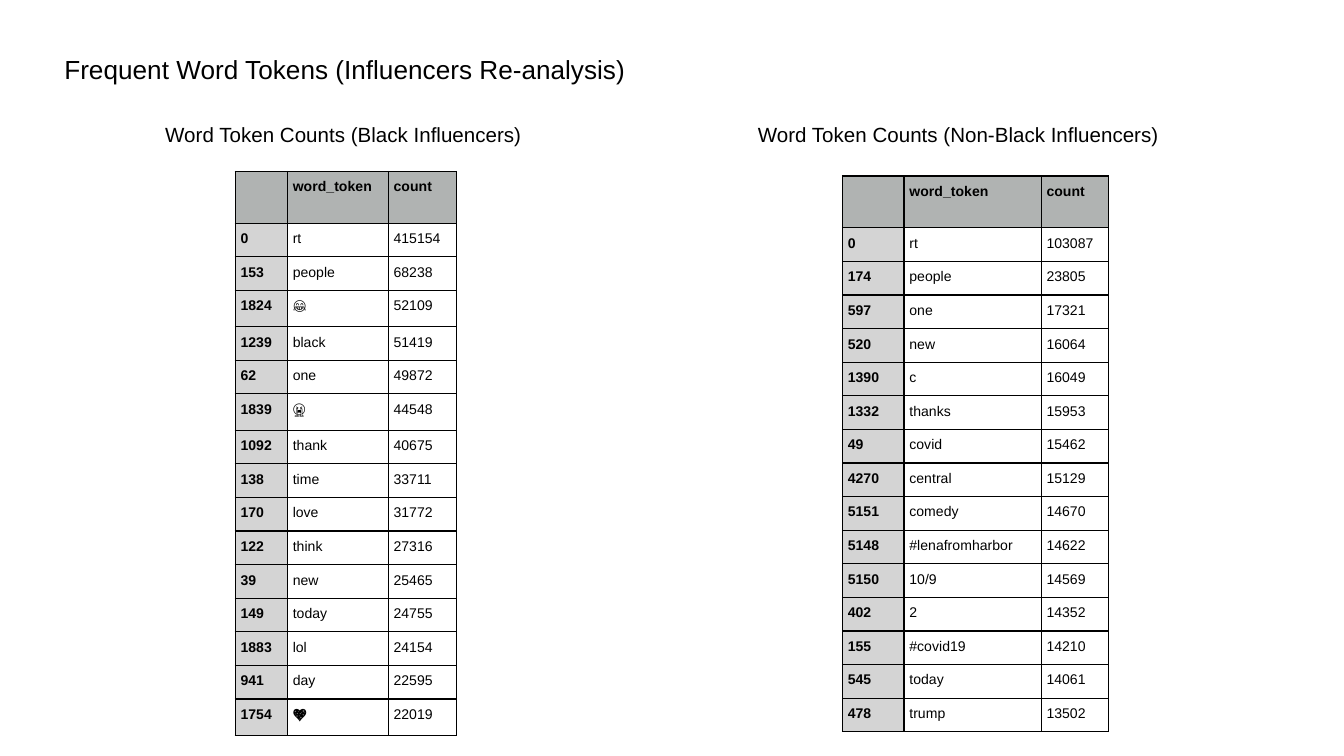
from dataclasses import dataclass

from lxml.etree import SubElement
from pptx import Presentation
from pptx.dml.color import RGBColor
from pptx.enum.text import MSO_AUTO_SIZE
from pptx.oxml.ns import qn
from pptx.util import Pt


@dataclass(frozen=True)
class Theme:
    font: str = "Arial"
    ink: str = "000000"
    header_fill: str = "B0B3B2"
    index_fill: str = "D4D4D4"
    title_size: float = 14
    heading_size: float = 11
    cell_size: float = 7.5
    cell_inset: float = 2.88
    cell_spacing: float = 1.15
    border_width: float = 0.75
    header_height: float = 27.75
    row_height: float = 18
    emoji_row_height: float = 19.5


class TokenSlide:
    def __init__(self, slide, theme):
        self.slide = slide
        self.theme = theme

    def add_span(self, para, text, size, bold=False):
        span = para.add_run()
        span.text = text
        span.font.name = self.theme.font
        span.font.size = Pt(size)
        span.font.bold = bold
        span.font.color.rgb = RGBColor.from_string(self.theme.ink)

    def add_text(self, text, left, top, width, height, size):
        box = self.slide.shapes.add_textbox(Pt(left), Pt(top), Pt(width), Pt(height))
        frame = box.text_frame
        frame.word_wrap = True
        frame.auto_size = MSO_AUTO_SIZE.SHAPE_TO_FIT_TEXT
        frame.margin_left = frame.margin_right = Pt(7.2)
        frame.margin_top = frame.margin_bottom = Pt(7.2)
        self.add_span(frame.paragraphs[0], text, size)

    def add_borders(self, cell):
        properties = cell._tc.get_or_add_tcPr()
        for position, side in enumerate(("lnL", "lnR", "lnT", "lnB")):
            line = SubElement(properties, qn(f"a:{side}"), w=str(Pt(self.theme.border_width)))
            fill = SubElement(line, qn("a:solidFill"))
            SubElement(fill, qn("a:srgbClr"), val=self.theme.ink)
            # Borders come before the fill in the cell properties
            properties.insert(position, line)

    def fill_cell(self, cell, text, fill, bold):
        theme = self.theme
        cell.margin_left = cell.margin_right = Pt(theme.cell_inset)
        cell.margin_top = cell.margin_bottom = Pt(theme.cell_inset)
        if fill:
            cell.fill.solid()
            cell.fill.fore_color.rgb = RGBColor.from_string(fill)
        else:
            cell.fill.background()
        self.add_borders(cell)
        if text:
            para = cell.text_frame.paragraphs[0]
            para.line_spacing = theme.cell_spacing
            self.add_span(para, text, theme.cell_size, bold)

    def add_count_table(self, counts, left, top, widths):
        theme = self.theme
        rows = [("", "word_token", "count"), *counts]
        heights = [theme.header_height] + [
            theme.row_height if token.isascii() else theme.emoji_row_height
            for _, token, _ in counts
        ]
        table = self.slide.shapes.add_table(
            len(rows), len(widths), Pt(left), Pt(top), Pt(sum(widths)), Pt(sum(heights))
        ).table
        table.first_row = table.horz_banding = False
        for column, width in zip(table.columns, widths):
            column.width = Pt(width)
        for r, (row, height) in enumerate(zip(rows, heights)):
            table.rows[r].height = Pt(height)
            for c, value in enumerate(row):
                fill = theme.header_fill if r == 0 else theme.index_fill if c == 0 else None
                self.fill_cell(table.cell(r, c), str(value), fill, bold=fill is not None)


BLACK_INFLUENCER_COUNTS = [
    (0, "rt", 415154),
    (153, "people", 68238),
    (1824, "😂", 52109),
    (1239, "black", 51419),
    (62, "one", 49872),
    (1839, "😭", 44548),
    (1092, "thank", 40675),
    (138, "time", 33711),
    (170, "love", 31772),
    (122, "think", 27316),
    (39, "new", 25465),
    (149, "today", 24755),
    (1883, "lol", 24154),
    (941, "day", 22595),
    (1754, "💖", 22019),
]

NON_BLACK_INFLUENCER_COUNTS = [
    (0, "rt", 103087),
    (174, "people", 23805),
    (597, "one", 17321),
    (520, "new", 16064),
    (1390, "c", 16049),
    (1332, "thanks", 15953),
    (49, "covid", 15462),
    (4270, "central", 15129),
    (5151, "comedy", 14670),
    (5148, "#lenafromharbor", 14622),
    (5150, "10/9", 14569),
    (402, "2", 14352),
    (155, "#covid19", 14210),
    (545, "today", 14061),
    (478, "trump", 13502),
]


def main():
    deck = Presentation()
    deck.slide_width, deck.slide_height = Pt(720), Pt(405)
    theme = Theme()
    page = TokenSlide(deck.slides.add_slide(deck.slide_layouts[6]), theme)

    # Title
    page.add_text("Frequent Word Tokens (Influencers Re-analysis)",
                  27.4, 21.6, 689, 31.7, theme.title_size)

    # Table headings
    page.add_text("Word Token Counts (Black Influencers)",
                  81.4, 58.6, 221.8, 28, theme.heading_size)
    page.add_text("Word Token Counts (Non-Black Influencers)",
                  398.9, 58.6, 237.6, 28, theme.heading_size)

    # Token count tables
    page.add_count_table(BLACK_INFLUENCER_COUNTS, 126, 91.8, (28, 54, 36.5))
    page.add_count_table(NON_BLACK_INFLUENCER_COUNTS, 451.3, 94.3, (33, 73.5, 36))

    deck.save("out.pptx")


if __name__ == "__main__":
    main()
